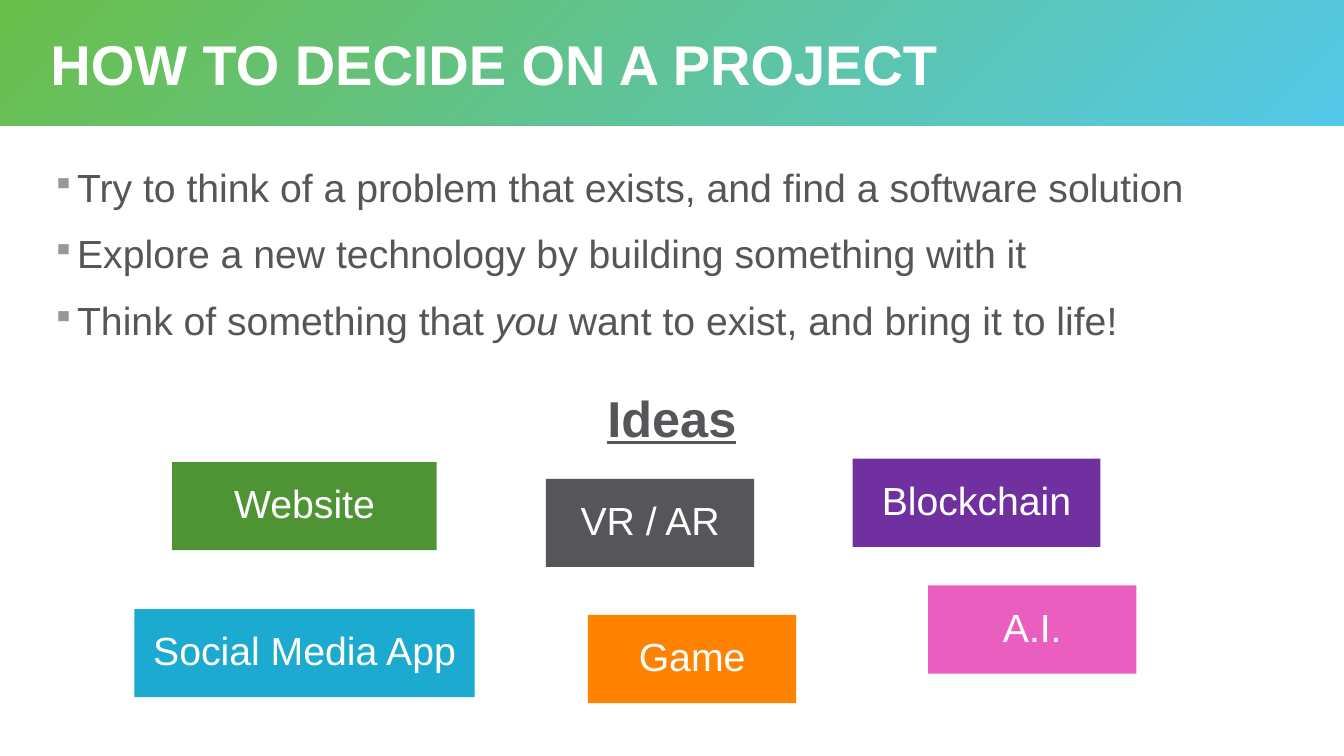
from lxml.etree import SubElement
from pptx import Presentation
from pptx.dml.color import RGBColor
from pptx.enum.shapes import MSO_SHAPE as Shape
from pptx.enum.text import MSO_ANCHOR as Anchor, MSO_AUTO_SIZE as AutoSize, PP_ALIGN as Align
from pptx.oxml.ns import qn
from pptx.util import Inches, Pt

COLUMNS, ROWS = 160, 90
COLORS = {
    "white": "FFFFFF", "text": "56565A", "bullet": "98989A",
    "lime": "6ABF4B", "sky": "54C8E8", "blue": "1CAAD1", "green": "4E9334",
    "orange": "FF8300", "pink": "E95EBE", "purple": "7030A0",
}
POINTS = [
    [("Try to think of a problem that exists, and find a software solution", False)],
    [("Explore a new technology by building something with it", False)],
    [("Think of something that ", False), ("you", True),
     (" want to exist, and bring it to life!", False)],
]
# label, color, left column, top row, width in columns
IDEAS = [
    ("Social Media App", "blue", 16, 72.5, 40.5),
    ("Website", "green", 20.5, 55, 31.5),
    ("Game", "orange", 70, 73.2, 24.8),
    ("A.I.", "pink", 110.5, 69.7, 24.8),
    ("VR / AR", "text", 65, 57, 24.8),
    ("Blockchain", "purple", 101.5, 54.6, 29.5),
]
IDEA_ROWS = 10.5


class SlideBuilder:
    font_name = "Arial"

    def __init__(self, deck):
        self.page = deck.slides.add_slide(deck.slide_layouts[5])
        self.column = deck.slide_width / COLUMNS
        self.row = deck.slide_height / ROWS

    def color(self, name):
        return RGBColor.from_string(COLORS[name])

    def area(self, left, top, width, height):
        """Turn grid columns and rows into slide lengths."""
        return (round(left * self.column), round(top * self.row),
                round(width * self.column), round(height * self.row))

    def frame(self, box, anchor, insets=(0.1, 0.1, 0.1, 0.1)):
        frame = box.text_frame
        frame.word_wrap = True
        frame.auto_size = AutoSize.NONE
        frame.vertical_anchor = anchor
        (frame.margin_left, frame.margin_top,
         frame.margin_right, frame.margin_bottom) = map(Inches, insets)
        return frame

    def style(self, para, size, color, align=Align.LEFT, spacing=1.0, bold=None):
        para.alignment = align
        para.line_spacing = spacing
        font = para.font
        font.name, font.size, font.bold = self.font_name, Pt(size), bold
        font.color.rgb = self.color(color)

    def title(self, text, area):
        box = self.page.shapes.title
        box.left, box.top, box.width, box.height = self.area(*area)
        box.fill.gradient()
        box.fill.gradient_angle = 315
        stops = zip(box.fill.gradient_stops, ("lime", "sky"), (0.01, 0.99))
        for stop, name, position in stops:
            stop.color.rgb = self.color(name)
            stop.position = position
        frame = self.frame(box, Anchor.MIDDLE, (0.5, 0.1, 0.1, 0))
        frame.text = text
        self.style(frame.paragraphs[0], 40, "white", spacing=0.85, bold=True)

    def bullet(self, para):
        properties = para._p.get_or_add_pPr()
        properties.set("marL", str(Inches(0.25)))
        properties.set("indent", str(-Inches(0.25)))
        color = SubElement(properties, qn("a:buClr"))
        SubElement(color, qn("a:srgbClr"), val=COLORS["bullet"])
        SubElement(properties, qn("a:buSzPct"), val="80000")
        SubElement(properties, qn("a:buChar"), char="▪")

    def body(self, points, heading, area):
        """Add the bulleted points with a centred heading below them."""
        frame = self.frame(self.page.shapes.add_textbox(*self.area(*area)), Anchor.TOP)
        for index, spans in enumerate(points):
            para = frame.add_paragraph() if index else frame.paragraphs[0]
            self.bullet(para)
            self.style(para, 28, "text", spacing=1.05)
            para.space_after = Pt(12)
            for text, italic in spans:
                span = para.add_run()
                span.text = text
                if italic:
                    span.font.italic = True
        para = frame.add_paragraph()
        para.text = heading
        self.style(para, 36, "text", Align.CENTER, 1.05, True)
        para.font.underline = True
        para.space_before = Pt(17)

    def idea(self, label, color, area):
        box = self.page.shapes.add_shape(Shape.RECTANGLE, *self.area(*area))
        box.shadow.inherit = False
        box.fill.solid()
        box.fill.fore_color.rgb = self.color(color)
        box.line.fill.background()
        frame = self.frame(box, Anchor.MIDDLE)
        frame.text = label
        self.style(frame.paragraphs[0], 28, "white", Align.CENTER, 0.9)


def main():
    deck = Presentation()
    deck.slide_width, deck.slide_height = Inches(13.33), Inches(7.5)
    slide = SlideBuilder(deck)
    slide.title("HOW TO DECIDE ON A PROJECT", (0, 0, COLUMNS, 15))
    slide.body(POINTS, "Ideas", (5, 18, 150, 42))
    for label, color, left, top, width in IDEAS:
        slide.idea(label, color, (left, top, width, IDEA_ROWS))
    deck.save("out.pptx")


if __name__ == "__main__":
    main()
